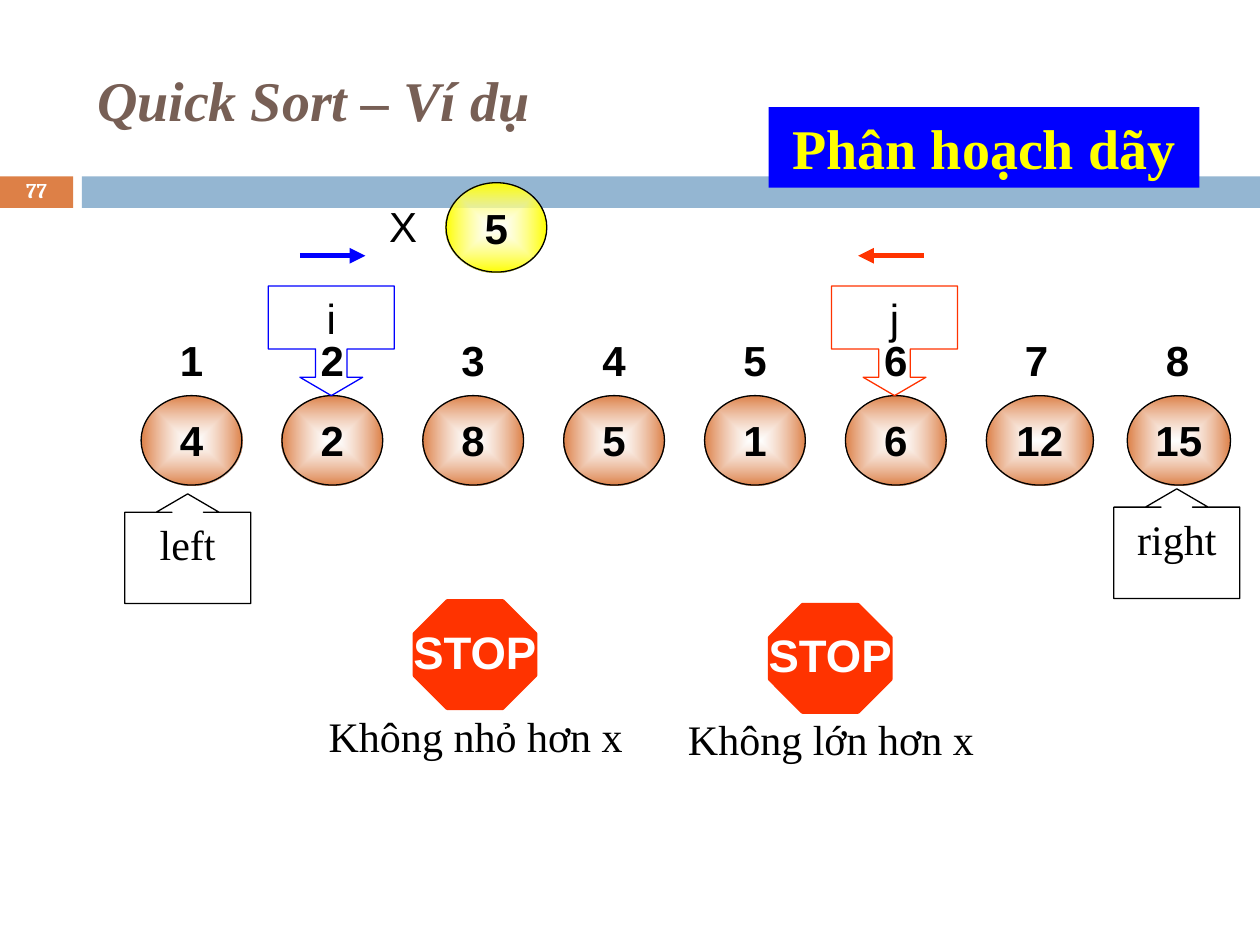
from dataclasses import dataclass

from lxml.etree import SubElement
from pptx import Presentation
from pptx.dml.color import RGBColor
from pptx.enum.shapes import MSO_CONNECTOR, MSO_SHAPE as SHAPE
from pptx.enum.text import MSO_ANCHOR as ANCHOR, PP_ALIGN as ALIGN
from pptx.oxml import parse_xml
from pptx.oxml.ns import nsdecls, qn
from pptx.util import Inches, Pt


@dataclass(frozen=True)
class Theme:
    black: str = "000000"
    white: str = "FFFFFF"
    brown: str = "775F55"
    orange: str = "DD8047"
    band: str = "94B6D2"
    yellow: str = "FFFF00"
    blue: str = "0000FF"
    red: str = "FF3300"
    sans: str = "Arial"
    serif: str = "Times New Roman"
    number_font: str = "Cambria"
    heading: int = 32
    stop: int = 26
    label: int = 24
    number: int = 12


THEME = Theme()
CELL_W, CELL_H = 0.8, 0.71


class Board:
    def __init__(self, slide, theme):
        self.slide = slide
        self.theme = theme
        self.shapes = slide.shapes

    def start_group(self):
        self.shapes = self.slide.shapes.add_group_shape().shapes

    def end_group(self):
        self.shapes = self.slide.shapes

    def set_text(self, shape, text, size=None, font=None, color=None, bold=False,
                 italic=False, align=ALIGN.CENTER, anchor=ANCHOR.TOP,
                 side_inset=0.1, wrap=True):
        frame = shape.text_frame
        frame.text = text
        frame.word_wrap = wrap
        frame.vertical_anchor = anchor
        frame.margin_left = frame.margin_right = Inches(side_inset)
        frame.margin_top = frame.margin_bottom = Inches(0.05)
        line = frame.paragraphs[0]
        line.alignment = align
        style = line.runs[0].font
        style.size = Pt(size or self.theme.label)
        style.name = font or self.theme.sans
        style.color.rgb = RGBColor.from_string(color or self.theme.black)
        style.bold, style.italic = bold, italic
        return line

    def title(self, text, left, top, width, height):
        heading = self.slide.shapes.title
        heading.left, heading.top = Inches(left), Inches(top)
        heading.width, heading.height = Inches(width), Inches(height)
        self.set_text(heading, text, self.theme.heading, self.theme.serif,
                      self.theme.brown, bold=True, italic=True,
                      align=ALIGN.LEFT, anchor=ANCHOR.MIDDLE)

    def shape(self, kind, left, top, width, height, fill=None, outline=None,
              weight=0.75):
        part = self.shapes.add_shape(kind, Inches(left), Inches(top),
                                     Inches(width), Inches(height))
        part.shadow.inherit = False
        if fill:
            part.fill.solid()
            part.fill.fore_color.rgb = RGBColor.from_string(fill)
        else:
            part.fill.background()
        if outline:
            part.line.color.rgb = RGBColor.from_string(outline)
            part.line.width = Pt(weight)
        else:
            part.line.fill.background()
        return part

    def text(self, text, left, top, width, height, **style):
        box = self.shapes.add_textbox(Inches(left), Inches(top),
                                      Inches(width), Inches(height))
        return self.set_text(box, text, **style)

    def ball(self, value, left, top, color, width=CELL_W):
        """Draw a value in a circle that glows white from its centre."""
        circle = self.shape(SHAPE.OVAL, left, top, width, CELL_H,
                            outline=self.theme.black)
        glow = parse_xml(
            f'<a:gradFill {nsdecls("a")} rotWithShape="1"><a:gsLst>'
            f'<a:gs pos="0"><a:srgbClr val="{self.theme.white}">'
            '<a:alpha val="60000"/></a:srgbClr></a:gs>'
            f'<a:gs pos="100000"><a:srgbClr val="{color}"/></a:gs></a:gsLst>'
            '<a:path path="rect"><a:fillToRect l="50000" t="50000" '
            'r="50000" b="50000"/></a:path></a:gradFill>')
        properties = circle._element.spPr
        properties.replace(properties.find(qn("a:noFill")), glow)
        self.set_text(circle, value, bold=True, wrap=False)

    def index(self, value, left, top):
        cell = self.shape(SHAPE.OVAL, left, top, CELL_W, CELL_H)
        self.set_text(cell, value, bold=True, wrap=False)

    def callout(self, kind, text, left, top, color, box_share, font):
        pointer = self.shape(kind, left, top, 1, 0.87, outline=color)
        for slot, value in enumerate((0.286, 0.286, 0.167, box_share)):
            pointer.adjustments[slot] = value
        self.set_text(pointer, text, font=font)

    def arrow(self, start, end, y, color):
        line = self.shapes.add_connector(
            MSO_CONNECTOR.STRAIGHT, Inches(start), Inches(y), Inches(end), Inches(y))
        line.line.color.rgb = RGBColor.from_string(color)
        line.line.width = Pt(3)
        SubElement(line.line._get_or_add_ln(), qn("a:tailEnd"), type="triangle")
        SubElement(line._element.spPr, qn("a:effectLst"))

    def scanner(self, name, left, arrow_start, arrow_end, color):
        """Draw an index pointer with the arrow of its scan direction."""
        self.start_group()
        self.callout(SHAPE.DOWN_ARROW_CALLOUT, name, left, 2.27, color, 0.575,
                     self.theme.sans)
        self.arrow(arrow_start, arrow_end, 2.03, color)
        self.end_group()

    def stop_sign(self, reason, left, top, reason_left, reason_top):
        self.start_group()
        sign = self.shape(SHAPE.OCTAGON, left, top, 0.96, 0.85,
                          self.theme.red, self.theme.red, 2.25)
        sign.adjustments[0] = 0.307
        self.set_text(sign, "STOP", self.theme.stop, color=self.theme.white,
                      bold=True, side_inset=0, wrap=False)
        self.text(reason, reason_left, reason_top, 2.97, 0.5,
                  font=self.theme.serif, side_inset=0)
        self.end_group()


def main():
    deck = Presentation()
    deck.slide_width, deck.slide_height = Inches(10), Inches(7.5)
    board = Board(deck.slides.add_slide(deck.slide_layouts[5]), THEME)

    board.shape(SHAPE.RECTANGLE, 0, 1.4, 0.58, 0.25, THEME.orange)
    board.shape(SHAPE.RECTANGLE, 0.65, 1.4, 9.35, 0.25, THEME.band)
    board.title("Quick Sort – Ví dụ", 0.67, 0.25, 8.92, 1.08)
    page = board.text("77", 0, 1.39, 0.58, 0.27, size=THEME.number,
                      font=THEME.number_font, color=THEME.white, bold=True,
                      anchor=ANCHOR.MIDDLE)
    page.line_spacing = 0.8

    values = (4, 2, 8, 5, 1, 6, 12, 15)
    columns = [1.12 + 1.118 * step for step in range(len(values))]
    wide_balls = {12: 0.85, 15: 0.82}
    for left, value in zip(columns, values):
        board.ball(str(value), left, 3.14, THEME.orange,
                   wide_balls.get(value, CELL_W))
    board.start_group()
    for position, left in enumerate(columns, start=1):
        board.index(str(position), left, 2.5)
    board.end_group()

    for name, left, top in (("left", 0.99, 3.92), ("right", 8.84, 3.88)):
        board.callout(SHAPE.UP_ARROW_CALLOUT, name, left, top, THEME.black,
                      0.851, THEME.serif)

    board.start_group()
    board.ball("5", 3.54, 1.45, THEME.yellow)
    board.text("X", 2.99, 1.54, 0.42, 0.5, align=ALIGN.LEFT)
    board.end_group()

    board.stop_sign("Không nhỏ hơn x", 3.29, 4.77, 2.29, 5.59)
    board.scanner("i", 2.13, 2.38, 2.9, THEME.blue)
    board.scanner("j", 6.6, 7.33, 6.81, THEME.red)
    board.stop_sign("Không lớn hơn x", 6.11, 4.8, 5.11, 5.61)

    banner = board.shape(SHAPE.RECTANGLE, 6.1, 0.85, 3.42, 0.64, THEME.blue)
    board.set_text(banner, "Phân hoạch dãy", THEME.heading, THEME.serif,
                   THEME.yellow, bold=True)

    deck.save("out.pptx")


if __name__ == "__main__":
    main()
